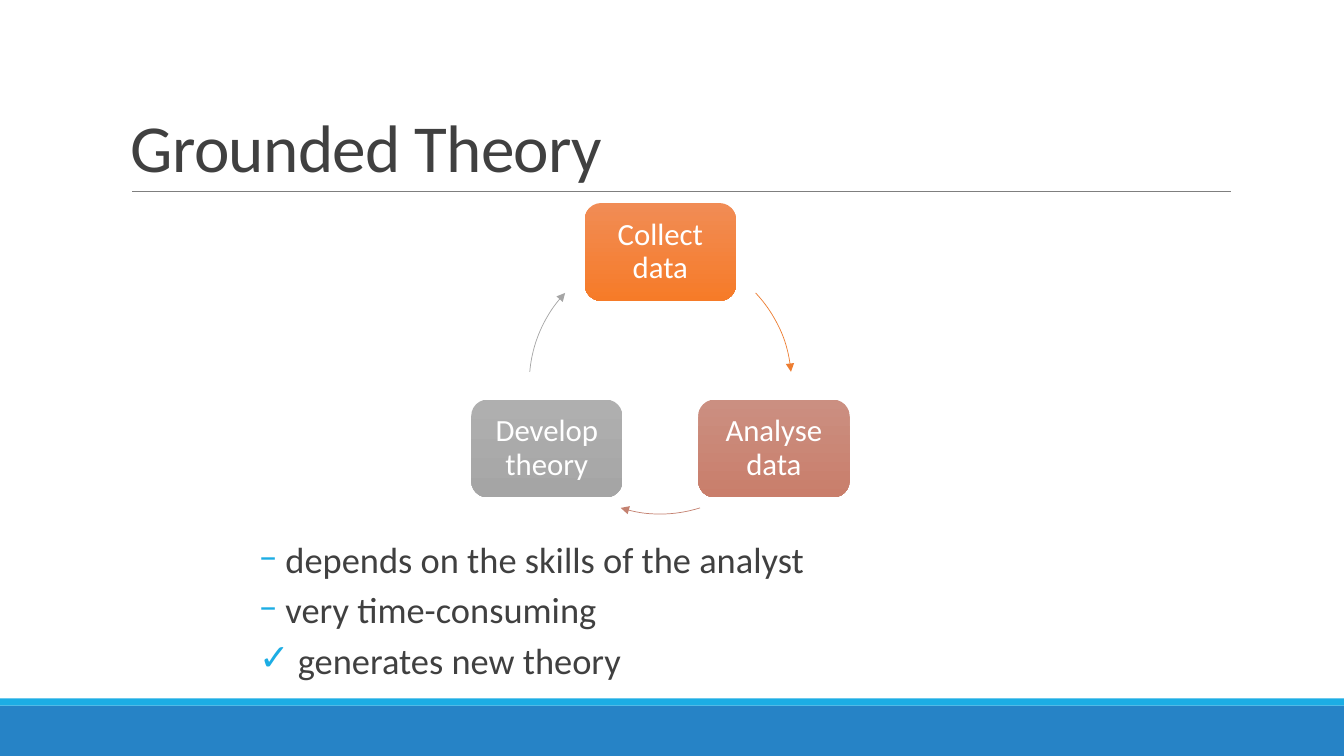
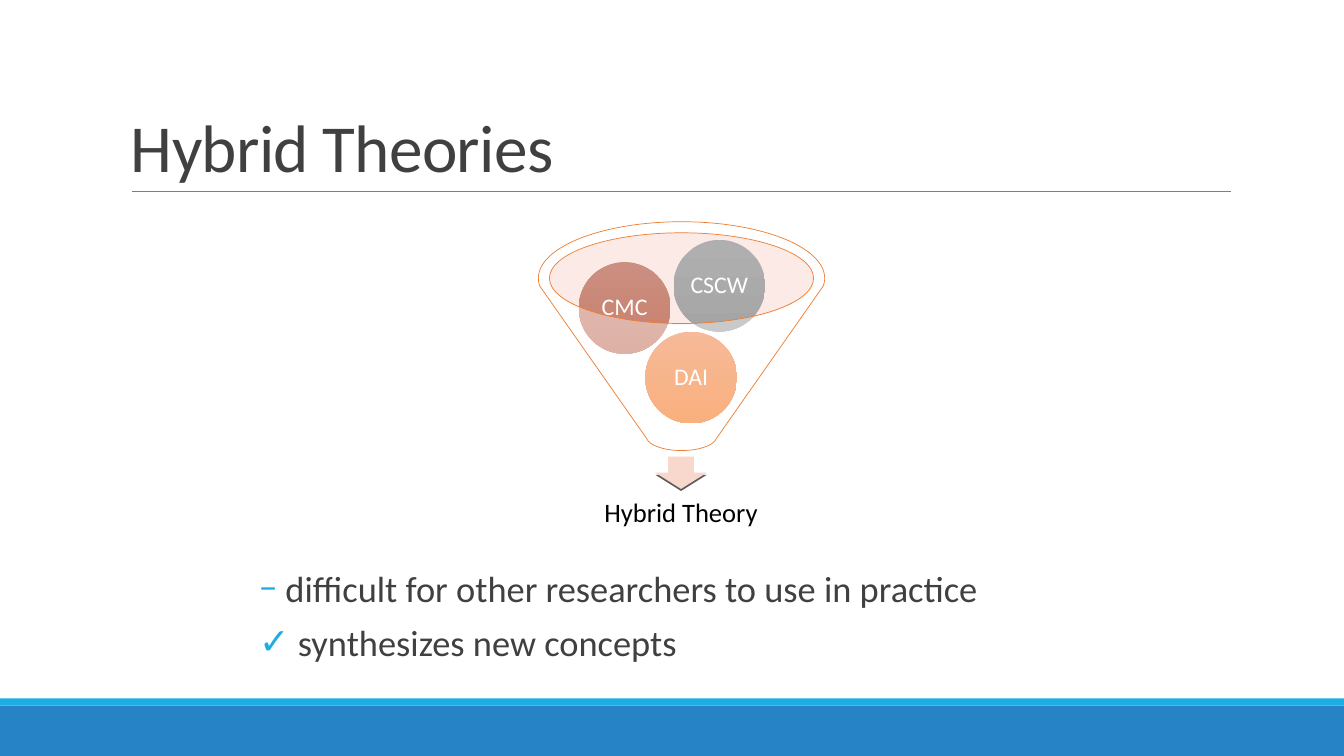
import math

from lxml import etree
from pptx import Presentation
from pptx.dml.color import RGBColor
from pptx.enum import shapes, text
from pptx.oxml.ns import qn
from pptx.util import Inches, Pt

rgb = RGBColor.from_string
FONT = "Calibri"
DARK, WHITE, BLACK = "404040", "FFFFFF", "000000"
BLUE, CYAN, RULE = "2683C6", "1CADE4", "7F7F7F"
ORANGE, ROSE, GREY = "ED7D31", "C48170", "A5A5A5"
ORANGE_FADE = ("F18C55", "F67B28")
ROSE_FADE = ("CB8F81", "C97E6B")
GREY_FADE = ("AFAFAF", "A5A5A5")
FORMS = shapes.MSO_SHAPE
CENTER = text.PP_ALIGN.CENTER
MIDDLE = text.MSO_ANCHOR.MIDDLE


def paint(shape, fill=None, line=None, opacity=None):
    """Fill with nothing, one colour or a top-to-bottom pair; outline if given."""
    shape.shadow.inherit = False
    if fill is None:
        shape.fill.background()
    elif isinstance(fill, tuple):
        shape.fill.gradient()
        shape.fill.gradient_angle = 270
        for stop, shade in zip(shape.fill.gradient_stops, fill):
            stop.color.rgb = rgb(shade)
    else:
        shape.fill.solid()
        shape.fill.fore_color.rgb = rgb(fill)
    if opacity is not None:
        colour = shape._element.spPr.find(".//" + qn("a:srgbClr"))
        etree.SubElement(colour, qn("a:alpha"), val=str(opacity * 1000))
    if line:
        shape.line.color.rgb = rgb(line)
        shape.line.width = Pt(0.5)
    else:
        shape.line.fill.background()


def write(shape, lines, size, colour, spacing=0.9, align=CENTER, anchor=MIDDLE,
          margins=(0.1, 0.05)):
    frame = shape.text_frame
    frame.text = "\n".join(lines)
    frame.word_wrap = True
    frame.vertical_anchor = anchor
    frame.margin_left = frame.margin_right = Inches(margins[0])
    frame.margin_top = frame.margin_bottom = Inches(margins[1])
    for paragraph in frame.paragraphs:
        paragraph.alignment = align
        paragraph.line_spacing = spacing
        for run in paragraph.runs:
            run.font.name = FONT
            run.font.size = Pt(size)
            run.font.color.rgb = rgb(colour)
    return frame.paragraphs


presentation = Presentation()
presentation.slide_width = Inches(13.33)
presentation.slide_height = Inches(7.5)

# Title, rule, bands and bullets of every slide
contents = [
    ("Grounded Theory", 5.4, 0.7, [
        ("−", " depends on the skills of the analyst"),
        ("−", " very time-consuming"),
        ("✓", " generates new theory")]),
    ("Hybrid Theories", 5.65, 0.8, [
        ("−", " difficult for other researchers to use in practice"),
        ("✓", " synthesizes new concepts")]),
]
slides = []
for title, bullets_top, bullet_spacing, bullets in contents:
    slide = presentation.slides.add_slide(presentation.slide_layouts[6])
    slides.append(slide)

    for top, height, colour in [(7, 0.5, BLUE), (6.93, 0.07, CYAN)]:
        band = slide.shapes.add_shape(FORMS.RECTANGLE, 0, Inches(top),
                                      presentation.slide_width, Inches(height))
        paint(band, colour)

    rule = slide.shapes.add_connector(shapes.MSO_CONNECTOR.STRAIGHT, Inches(1.31),
                                      Inches(1.9), Inches(12.21), Inches(1.9))
    rule.line.color.rgb = rgb(RULE)
    rule.line.width = Pt(0.5)
    etree.SubElement(rule._element.spPr, qn("a:effectLst"))

    title_box = slide.shapes.add_textbox(Inches(1.2), Inches(0.31), Inches(11), Inches(1.59))
    heading = write(title_box, [title], 48, DARK, 0.85,
                    text.PP_ALIGN.LEFT, text.MSO_ANCHOR.BOTTOM)[0]
    heading.runs[0].font._element.set("spc", "-50")

    bullet_box = slide.shapes.add_textbox(Inches(2.57), Inches(bullets_top),
                                          Inches(8.25), Inches(6.9 - bullets_top))
    paragraphs = write(bullet_box, [words for _, words in bullets], 26, DARK, bullet_spacing,
                       text.PP_ALIGN.LEFT, text.MSO_ANCHOR.TOP, (0, 0.05))
    for paragraph, (character, _) in zip(paragraphs, bullets):
        paragraph.space_before = Pt(12)
        paragraph.space_after = Pt(2)
        properties = paragraph._p.get_or_add_pPr()
        properties.set("marL", str(Inches(0.1)))
        properties.set("indent", str(-Inches(0.1)))
        bullet_colour = etree.SubElement(properties, qn("a:buClr"))
        etree.SubElement(bullet_colour, qn("a:srgbClr"), val=CYAN)
        etree.SubElement(properties, qn("a:buFont"), typeface=FONT)
        etree.SubElement(properties, qn("a:buChar"), char=character)

cycle_slide, funnel_slide = slides

# Cycle: nodes and arrows on one circle, angles clockwise from the right
cycle_x, cycle_y, radius = 6.55, 3.8, 1.3
node_width, node_height = 1.5, 0.97
steps = [
    ("Collect data", -90, ORANGE_FADE, ORANGE, 316.6, 355.1),
    ("Analyse data", 30, ROSE_FADE, ROSE, 72.4, 107.6),
    ("Develop theory", 150, GREY_FADE, GREY, 184.9, 223.4),
]
for label, angle, fade, arrow_colour, arrow_start, arrow_end in steps:
    node_x = cycle_x + radius * math.cos(math.radians(angle))
    node_y = cycle_y + radius * math.sin(math.radians(angle))
    node = cycle_slide.shapes.add_shape(
        FORMS.ROUNDED_RECTANGLE, Inches(node_x - node_width / 2),
        Inches(node_y - node_height / 2), Inches(node_width), Inches(node_height))
    paint(node, fade)
    write(node, [label], 22, WHITE, margins=(0.09, 0.09))

    arrow = cycle_slide.shapes.add_shape(
        FORMS.ARC, Inches(cycle_x - radius), Inches(cycle_y - radius),
        Inches(2 * radius), Inches(2 * radius))
    arrow.adjustments[0] = arrow_start * 0.6
    arrow.adjustments[1] = arrow_end * 0.6
    paint(arrow, line=arrow_colour)
    etree.SubElement(arrow.line._get_or_add_ln(), qn("a:tailEnd"), type="triangle")

# Funnel mouth
mouth = funnel_slide.shapes.add_shape(FORMS.OVAL, Inches(5.45), Inches(2.31),
                                      Inches(2.62), Inches(0.91))
paint(mouth, "F6CCBE", opacity=40)

# Arrow out of the funnel and its result
outlet = funnel_slide.shapes.add_shape(FORMS.DOWN_ARROW, Inches(6.5), Inches(4.53),
                                       Inches(0.51), Inches(0.32))
paint(outlet, "F8D7CD")
shadow = etree.SubElement(outlet._element.spPr.find(qn("a:effectLst")), qn("a:outerShdw"),
                          blurRad="0", dist=str(Pt(1.5)), dir="5400000", rotWithShape="0")
shadow_colour = etree.SubElement(shadow, qn("a:srgbClr"), val=BLACK)
etree.SubElement(shadow_colour, qn("a:alpha"), val="63000")

result = funnel_slide.shapes.add_shape(FORMS.RECTANGLE, Inches(5.54), Inches(4.79),
                                       Inches(2.43), Inches(0.61))
paint(result)
write(result, ["Hybrid Theory"], 19, BLACK, margins=(0.15, 0.15))

# Balls in the funnel
for label, left, top, fade in [("DAI", 6.4, 3.29, ORANGE_FADE),
                               ("CMC", 5.74, 2.6, ROSE_FADE),
                               ("CSCW", 6.68, 2.38, GREY_FADE)]:
    ball = funnel_slide.shapes.add_shape(FORMS.OVAL, Inches(left), Inches(top),
                                         Inches(0.91), Inches(0.91))
    paint(ball, fade)
    write(ball, [label], 17, WHITE, margins=(0.02, 0.02))

# Funnel wall: Bézier points of the rim, the spout and the cut-out mouth
funnel_x = 6.76
outlines = []
for center_y, radius_x, radius_y, start, end, pieces in [
        (2.76, 1.42, 0.56, 172, 368, 4),
        (4.33, 0.35, 0.14, 8, 172, 2),
        (2.76, 1.31, 0.45, 360, 0, 4)]:
    sweep = math.radians(end - start) / pieces
    pull = 4 / 3 * math.tan(sweep / 4)
    points = []
    for piece in range(pieces):
        first = math.radians(start) + piece * sweep
        last = first + sweep
        for angle, tangent in [(first, 0), (first, pull), (last, -pull), (last, 0)]:
            x = math.cos(angle) - tangent * math.sin(angle)
            y = math.sin(angle) + tangent * math.cos(angle)
            points.append((Inches(funnel_x + radius_x * x), Inches(center_y + radius_y * y)))
        if piece:
            del points[-4]  # shared with the piece before
    outlines.append(points)
rim, spout, opening = outlines

builder = funnel_slide.shapes.build_freeform(*rim[0], scale=1.0)
builder.add_line_segments(rim[1:] + spout, close=True)
builder.move_to(*opening[0])
builder.add_line_segments(opening[1:], close=True)
funnel = builder.convert_to_shape()

# Join each three segments to a curve, except the straight side after the rim
segments = list(funnel._element.iter(qn("a:lnTo")))
del segments[len(rim) - 1]
for index in range(0, len(segments), 3):
    curve = etree.Element(qn("a:cubicBezTo"))
    segments[index].addprevious(curve)
    for segment in segments[index:index + 3]:
        curve.append(segment[0])
        segment.getparent().remove(segment)
paint(funnel, WHITE, ORANGE, opacity=40)

presentation.save("out.pptx")
